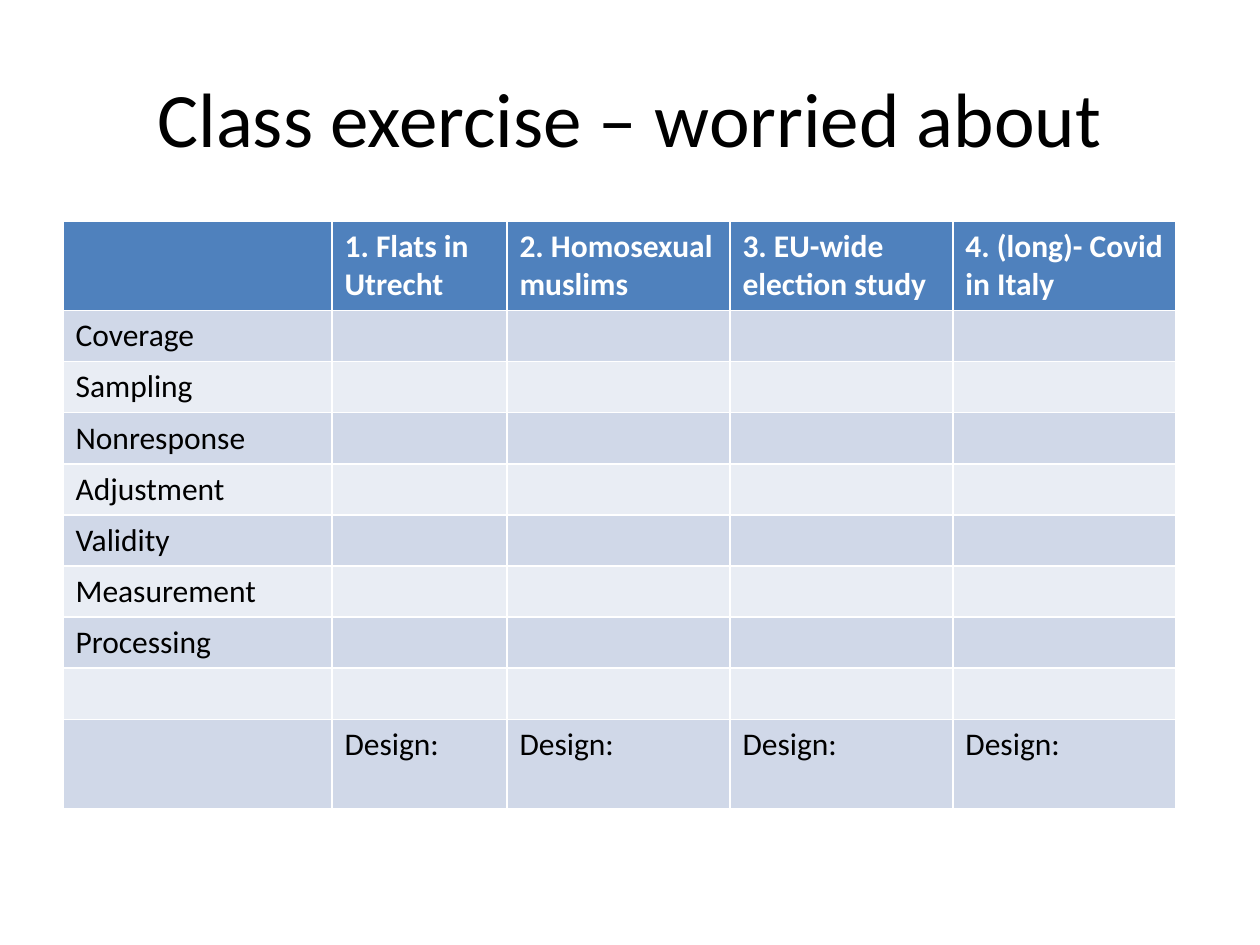
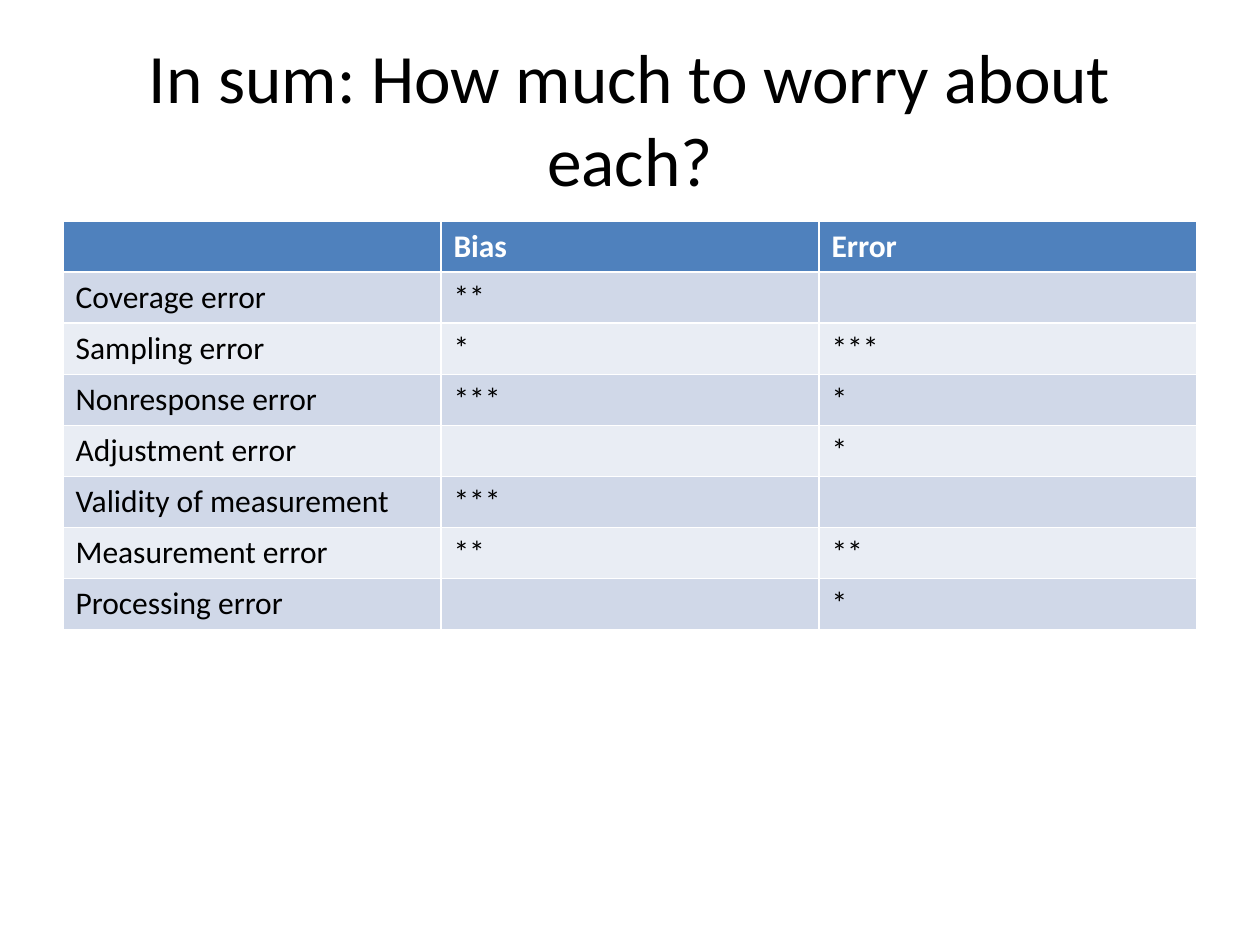
from pptx import Presentation
from pptx.dml.color import RGBColor
from pptx.enum.text import MSO_ANCHOR, MSO_AUTO_SIZE, PP_ALIGN
from pptx.util import Pt

# Shared look
PX = 914400 // 126
FONT = "Calibri"
BLACK = RGBColor(0x00, 0x00, 0x00)
WHITE = RGBColor(0xFF, 0xFF, 0xFF)
HEADER_BLUE = RGBColor(0x4F, 0x81, 0xBD)
BAND_DARK = RGBColor(0xD0, 0xD8, 0xE8)
BAND_LIGHT = RGBColor(0xE9, 0xED, 0xF4)
TITLE_BOX = {"left": 63, "top": 38, "width": 1134, "height": 158}
TABLE_LEFT, TABLE_TOP = 63, 221
ROW, TALL_ROW = 51, 89
HEADER_FONT = {"name": FONT, "size": Pt(18), "bold": True}
BODY_FONT = {"name": FONT, "size": Pt(18), "bold": False}

# Slide contents
error_sources = ["Coverage", "Sampling", "Nonresponse", "Adjustment",
                 "Validity", "Measurement", "Processing"]
exercise_rows = [
    ["", "1. Flats in Utrecht", "2. Homosexual muslims",
     "3. EU-wide election study", "4. (long)- Covid in Italy"],
    *[[source] + [""] * 4 for source in error_sources],
    [""] * 5,
    [""] + ["Design:"] * 4,
]
summary_rows = [
    ["", "Bias", "Error"],
    ["Coverage error", "**", ""],
    ["Sampling error", "*", "***"],
    ["Nonresponse error", "***", "*"],
    ["Adjustment error", "", "*"],
    ["Validity of measurement", "***", ""],
    ["Measurement error", "**", "**"],
    ["Processing error", "", "*"],
]
slides = [
    {"title": "Class exercise – worried about", "size": 44, "rows": exercise_rows,
     "widths": [269, 175, 223, 223, 223],
     "heights": [TALL_ROW] + [ROW] * 8 + [TALL_ROW]},
    {"title": "In sum: How much to worry about each?", "size": 39.6, "rows": summary_rows,
     "widths": [378] * 3, "heights": [ROW] * 8},
]


def set_font(font, color, formats):
    for name, value in formats.items():
        setattr(font, name, value)
    font.color.rgb = color


deck = Presentation()
deck.slide_width, deck.slide_height = 1260 * PX, 945 * PX

for content in slides:
    page = deck.slides.add_slide(deck.slide_layouts[5])

    # Title
    title = page.shapes.title
    for side, length in TITLE_BOX.items():
        setattr(title, side, length * PX)
    title.text_frame.text = content["title"]
    title.text_frame.auto_size = MSO_AUTO_SIZE.NONE
    title.text_frame.vertical_anchor = MSO_ANCHOR.MIDDLE
    para = title.text_frame.paragraphs[0]
    para.alignment = PP_ALIGN.CENTER
    set_font(para.runs[0].font, BLACK, {"name": FONT, "size": Pt(content["size"])})

    # Table grid
    rows, widths, heights = content["rows"], content["widths"], content["heights"]
    table = page.shapes.add_table(
        len(rows), len(widths), TABLE_LEFT * PX, TABLE_TOP * PX,
        sum(widths) * PX, sum(heights) * PX).table
    for column, width in zip(table.columns, widths):
        column.width = width * PX
    for row, height in zip(table.rows, heights):
        row.height = height * PX

    # Header and banded rows
    for row_number, texts in enumerate(rows):
        if row_number == 0:
            fill, color, formats = HEADER_BLUE, WHITE, HEADER_FONT
        else:
            fill = BAND_DARK if row_number % 2 else BAND_LIGHT
            color, formats = BLACK, BODY_FONT
        for column_number, text in enumerate(texts):
            cell = table.cell(row_number, column_number)
            cell.fill.solid()
            cell.fill.fore_color.rgb = fill
            if text:
                cell.text = text
                set_font(cell.text_frame.paragraphs[0].runs[0].font, color, formats)

deck.save("out.pptx")
